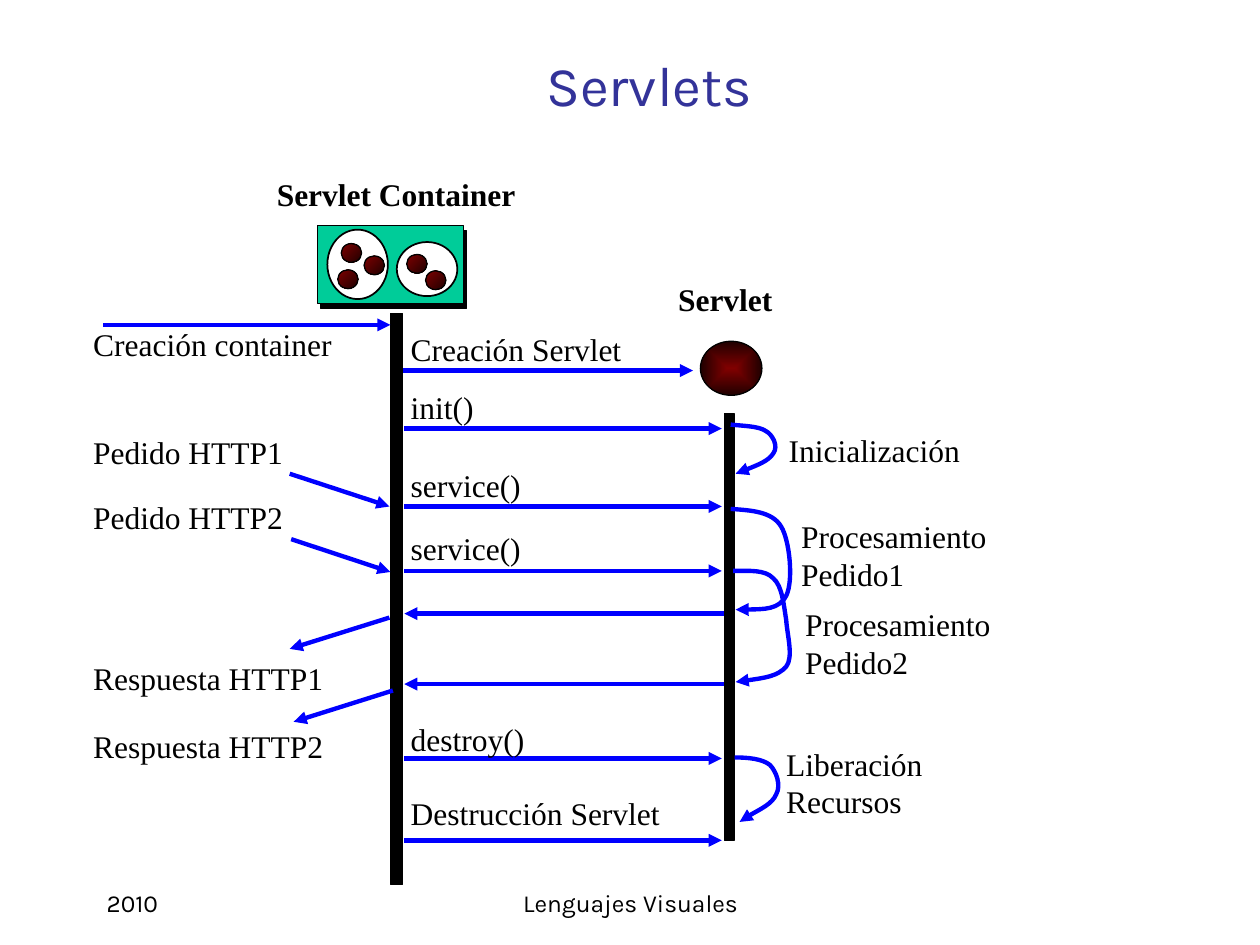
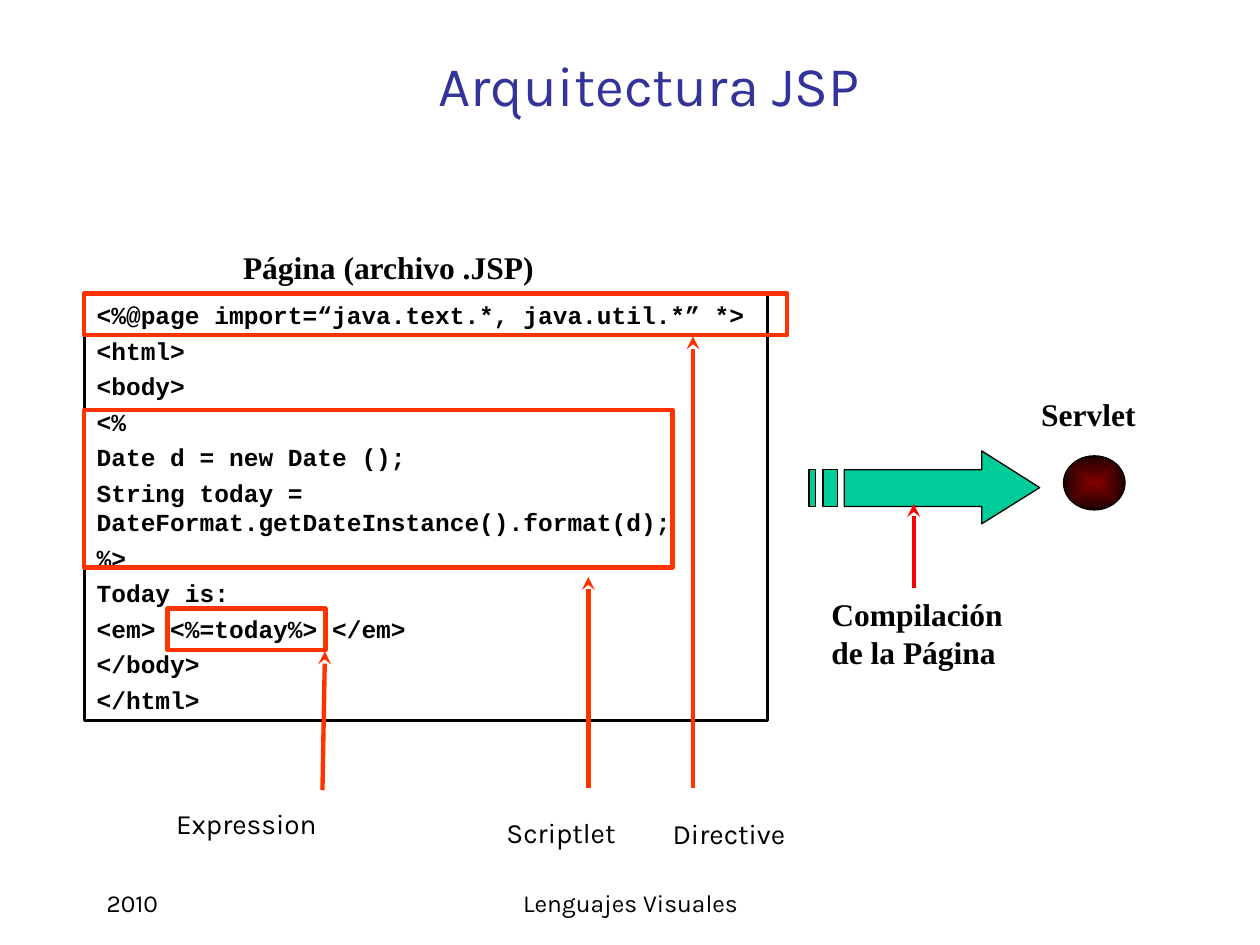
from lxml import etree
from pptx import Presentation
from pptx import util as u
from pptx.dml.color import RGBColor
from pptx.enum import shapes, text
from pptx.oxml import ns

BLACK, WHITE, GREEN = "000000", "FFFFFF", "00CC99"
BLUE, RED, ORANGE, NAVY = "0000FF", "FF0000", "FF3300", "333399"
LIGHT, DARK = "800000", "200000"
RECT, OVAL = shapes.MSO_SHAPE.RECTANGLE, shapes.MSO_SHAPE.OVAL
TOP, MID = text.MSO_ANCHOR.TOP, text.MSO_ANCHOR.MIDDLE
MARGIN = {"margin_left": u.Cm(.25), "margin_right": u.Cm(.25),
          "margin_top": u.Cm(.13), "margin_bottom": u.Cm(.13)}

# Text formats: face, size, colour, bold
BODY = {"name": "Times New Roman", "size": u.Pt(18), "bold": False}
HEAD = {**BODY, "bold": True}
TITLE = {"name": "Karla", "size": u.Pt(32)}
FOOT = {"name": "Karla", "size": u.Pt(14)}
NOTE = {"name": "Karla", "size": u.Pt(16)}
CODE = {"name": "Courier New", "size": u.Pt(14), "bold": True}


def hue(code):
    return RGBColor.from_string(code)


def cms(*values):
    return [u.Cm(v) for v in values]


def apply(part, values):
    for name, value in values.items():
        setattr(part, name, value)


def sub(node, tag, **attrs):
    return etree.SubElement(node, ns.qn(tag), attrs)


# Basic parts
def write(frame, lines, form, color=BLACK, center=False, anchor=TOP, before=0):
    apply(frame, {**MARGIN, "word_wrap": True, "vertical_anchor": anchor})
    align = text.PP_ALIGN.CENTER if center else text.PP_ALIGN.LEFT
    for i, line in enumerate(lines.split("\n")):
        para = frame.add_paragraph() if i else frame.paragraphs[0]
        apply(para, {"alignment": align, "space_before": u.Pt(before)})
        run = para.add_run()
        run.text = line
        apply(run.font, form)
        run.font.color.rgb = hue(color)


def label(slide, box, words, form=BODY, **style):
    frame = slide.shapes.add_textbox(*cms(*box)).text_frame
    write(frame, words, form, **style)


def paint(shape, fill, line=BLACK, width=.75):
    shape.shadow.inherit = False
    if fill:
        shape.fill.solid()
        shape.fill.fore_color.rgb = hue(fill)
    else:
        shape.fill.background()
    shape.line.color.rgb = hue(line)
    shape.line.width = u.Pt(width)


def block(slide, kind, box, fill=None, line=BLACK, width=.75):
    shape = slide.shapes.add_shape(kind, *cms(*box))
    paint(shape, fill, line, width)
    return shape


def ball(slide, box, radial=False):
    shape = block(slide, OVAL, box, LIGHT)
    shape.fill.gradient()
    shape.fill.gradient_angle = 315
    for stop, color in zip(shape.fill.gradient_stops, (LIGHT, DARK)):
        stop.color.rgb = hue(color)
    if radial:
        grad = shape._element.spPr.find(ns.qn("a:gradFill"))
        grad.remove(grad.find(ns.qn("a:lin")))
        rect = sub(sub(grad, "a:path", path="rect"), "a:fillToRect")
        for side in "ltrb":
            rect.set(side, "50000")


def tip(shape, kind):
    line = shape._element.spPr.find(ns.qn("a:ln"))
    sub(line, "a:tailEnd", type=kind)


def arrow(slide, ends, color=BLUE, head="triangle"):
    wire = slide.shapes.add_connector(shapes.MSO_CONNECTOR.STRAIGHT, *cms(*ends))
    wire.line.color.rgb = hue(color)
    wire.line.width = u.Pt(2.5)
    tip(wire, head)
    sub(wire._element.spPr, "a:effectLst")


def curve(slide, x, y, steps):
    """Draw a curved arrow; each three steps are one cubic segment."""
    pen = slide.shapes.build_freeform(*cms(x, y))
    pen.add_line_segments([cms(x + dx, y + dy) for dx, dy in steps], close=False)
    shape = pen.convert_to_shape()
    paint(shape, None, BLUE, 2.5)
    tip(shape, "triangle")
    track = next(shape._element.iter(ns.qn("a:path")))
    legs = track.findall(ns.qn("a:lnTo"))
    for i in range(0, len(legs), 3):
        bend = sub(track, "a:cubicBezTo")
        for leg in legs[i:i + 3]:
            bend.append(leg[0])
            track.remove(leg)


# Shared regions
def start(deck, title):
    slide = deck.slides.add_slide(deck.slide_layouts[6])
    label(slide, (1.9, 17.78, 5.28, .84), "2010", FOOT)
    label(slide, (8.69, 17.78, 8.05, .84), "Lenguajes Visuales", FOOT, center=True)
    label(slide, (2.69, .53, 20.8, 2.34), title, TITLE,
          color=NAVY, center=True, anchor=MID)
    return slide


def servlet(slide, x, y):
    ball(slide, (x, y, 1.24, 1.09), radial=True)
    label(slide, (x - .7, y - 1.36, 2.72, 1.02), "Servlet", HEAD)


# Sequence diagram
def holder(slide, x, y):
    label(slide, (x - 1.07, y - 1.15, 5.56, 1.02), "Servlet Container", HEAD)
    size = (2.95, 1.57)
    block(slide, RECT, (x + .06, y + .1, *size), BLACK)
    block(slide, RECT, (x, y, *size), GREEN)
    for dx, dy, w, h in ((.2, .08, 1.22, 1.4), (1.6, .33, 1.22, 1.09)):
        block(slide, OVAL, (x + dx, y + dy, w, h), WHITE, width=1)
    for dx, dy in ((.41, .89), (.94, .61), (2.18, .91), (1.8, .58), (.48, .36)):
        ball(slide, (x + dx, y + dy, .41, .38))


def calls(slide, left, right):
    """Messages between the two lifelines."""
    for y, top, words in ((8.64, 7.7, "init()"),
                          (10.21, 9.27, "service()"),
                          (11.51, 10.54, "service()"),
                          (15.29, 14.38, "destroy()"),
                          (16.94, 15.88, "Destrucción Servlet")):
        arrow(slide, (left, y, right, y))
        label(slide, (left - .12, top, 5.97, 1.02), words)
    arrow(slide, (left - .12, 7.47, right - .58, 7.47))
    label(slide, (left - .12, 6.53, 5.72, 1.02), "Creación Servlet")
    for y in (12.37, 13.79):
        arrow(slide, (right + .2, y, left, y))


def client(slide, x):
    """Requests and answers left of the container."""
    for ends in ((2.08, 6.55, 7.87, 6.55),
                 (5.84, 9.55, 7.85, 10.21), (5.87, 10.87, 7.87, 11.53),
                 (7.85, 12.45, 5.84, 13.08), (7.92, 13.92, 5.92, 14.55)):
        arrow(slide, ends)
    for y, words in ((6.43, "Creación container"),
                     (8.59, "Pedido HTTP1"), (9.91, "Pedido HTTP2"),
                     (13.16, "Respuesta HTTP1"), (14.53, "Respuesta HTTP2")):
        label(slide, (x, y, 5.72, 1.02), words)


def loops(slide, x):
    """Work done inside the servlet."""
    curve(slide, x, 8.56, (
        (.28, .03), (.56, .03), (.71, .13), (.84, .2), (.97, .43), (.86, .58),
        (.76, .74), (.25, .94), (.1, .99)))
    curve(slide, x, 10.26, (
        (.41, .03), (.84, .05), (1.02, .36), (1.19, .64), (1.27, 1.45),
        (1.12, 1.75), (.97, 2.03), (.53, 2.03), (.1, 2.03)))
    curve(slide, x + .05, 11.51, (
        (.33, 0), (.64, -.03), (.81, .15), (.99, .3), (1.02, .69), (1.07, .99),
        (1.09, 1.3), (1.22, 1.73), (1.07, 1.93), (.89, 2.13), (.48, 2.18),
        (.05, 2.24)))
    curve(slide, x + .08, 15.27, (
        (.28, 0), (.56, .03), (.71, .15), (.84, .28), (.94, .56), (.84, .74),
        (.76, .94), (.23, 1.19), (.1, 1.3)))
    for dx, y, h, words in ((.92, 8.56, 1.02, "Inicialización"),
                            (1.17, 10.29, 1.78, "Procesamiento\nPedido1"),
                            (1.25, 12.07, 1.78, "Procesamiento\nPedido2"),
                            (.87, 14.88, 1.78, "Liberación\nRecursos")):
        label(slide, (x + dx, y, 4.62, h), words)


def sequence(deck):
    slide = start(deck, "Servlets")
    holder(slide, 6.4, 4.55)
    servlet(slide, 14.12, 6.88)
    calls(slide, 8.15, 14.55)
    for box in ((7.87, 6.32, .25, 11.51), (14.6, 8.33, .2, 8.61)):
        block(slide, RECT, box, BLACK)
    client(slide, 1.63)
    loops(slide, 14.73)


# JSP page and its compilation
SOURCE = """<%@page import=“java.text.*, java.util.*” *>
<html>
<body>
<%
Date d = new Date ();
String today = DateFormat.getDateInstance().format(d);
%>
Today is:
<em> <%=today%> </em>
</body>
</html>"""


def page(slide, x, y):
    label(slide, (x + 2.95, y - 1.04, 7.42, 1.02), "Página (archivo .JSP)", HEAD)
    sheet = block(slide, RECT, (x, y, 13.77, 8.61), width=2)
    write(sheet.text_frame, SOURCE, CODE, before=3.5)
    # Marked code
    for dx, dy, w, h in ((0, 0, 14.17, .84), (0, 2.34, 11.86, 3.18),
                         (1.68, 6.35, 3.18, .84)):
        block(slide, RECT, (x + dx, y + dy, w, h), line=ORANGE, width=2.5)
    # Names of the marked code
    for ends, box, words in (
            ((6.5, 15.93, 6.55, 13.13), (3.3, 16.13, 5.54, .94), "Expression"),
            ((11.86, 15.88, 11.86, 11.63), (9.96, 16.31, 2.95, .94), "Scriptlet"),
            ((13.97, 15.88, 13.97, 6.78), (13.31, 16.33, 2.95, .94), "Directive")):
        arrow(slide, ends, ORANGE, "stealth")
        label(slide, box, words, NOTE, before=4)


def build(slide, x, y):
    """Striped arrow with its caption."""
    low, high = .38, 1.12
    bars = [[(a, low), (a, high), (b, high), (b, low)]
            for a, b in ((0, .13), (.28, .58))]
    body = [(3.48, 0), (3.48, low), (.71, low), (.71, high),
            (3.48, high), (3.48, 1.47), (4.65, .74)]
    pen = None
    for outline in (body, *bars):
        first, *rest = [cms(x + dx, y + dy) for dx, dy in outline]
        if pen:
            pen.move_to(*first)
        else:
            pen = slide.shapes.build_freeform(*first)
        pen.add_line_segments(rest, close=True)
    paint(pen.convert_to_shape(), GREEN)
    label(slide, (x + .2, y + 2.77, 4.45, 1.78), "Compilación de la Página", HEAD)
    arrow(slide, (x + 2.11, y + 2.77, x + 2.11, y + 1.07), RED, "stealth")


def jsp(deck):
    slide = start(deck, "Arquitectura JSP")
    page(slide, 1.7, 5.92)
    servlet(slide, 21.44, 9.19)
    build(slide, 16.31, 9.09)


def main():
    deck = Presentation()
    apply(deck, {"slide_width": u.Cm(25.4), "slide_height": u.Cm(19.05)})
    sequence(deck)
    jsp(deck)
    deck.save("out.pptx")


if __name__ == "__main__":
    main()
